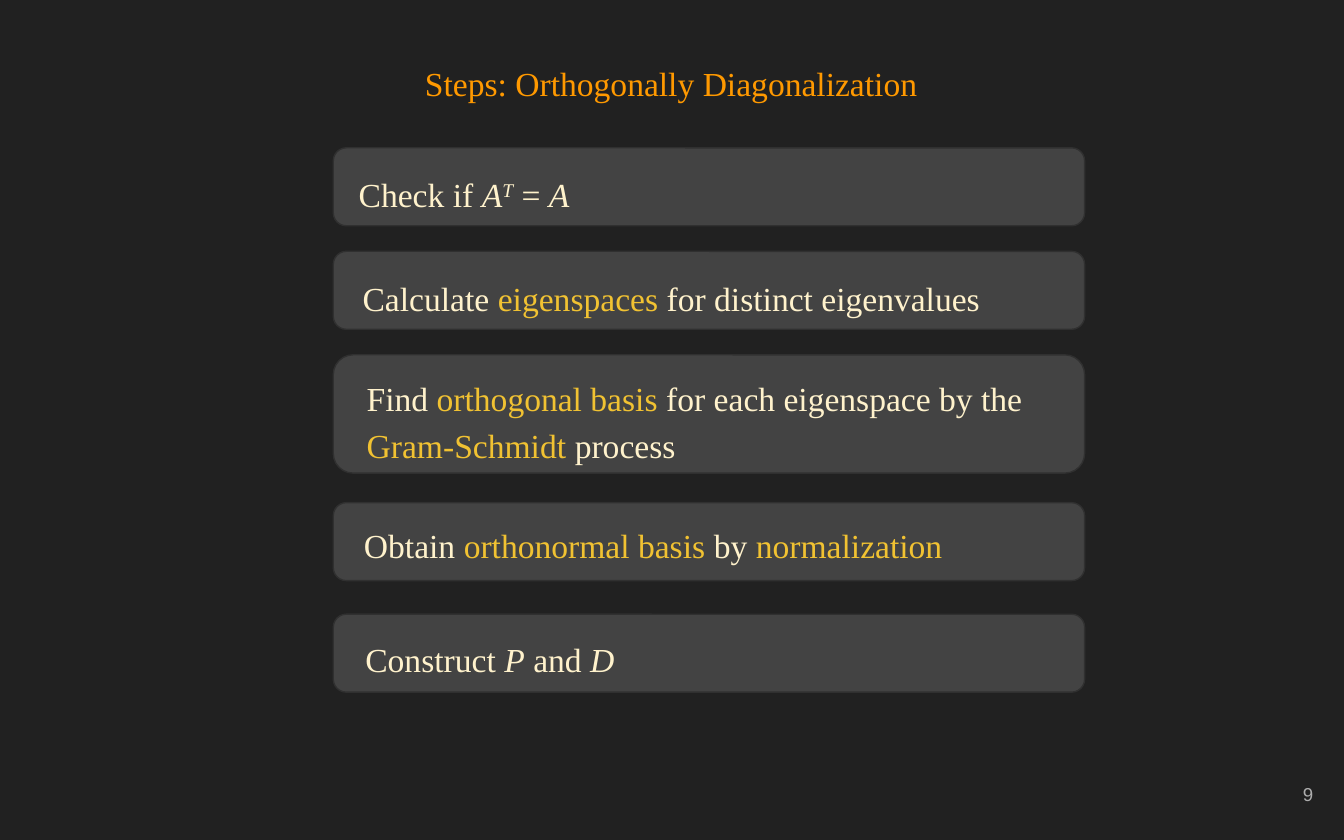
from pptx import Presentation
from pptx.dml.color import RGBColor
from pptx.enum.shapes import MSO_SHAPE
from pptx.enum.text import MSO_ANCHOR, MSO_AUTO_SIZE, PP_ALIGN
from pptx.util import Inches, Pt

SERIF = "Times New Roman"
CREAM = "FFF2CC"
GOLD = "F1C232"
CARD_LEFT, CARD_WIDTH = 2.48, 5.59

STEPS = [
    (1.1, 0.58, (2.57, 1.15, 4.02, 0.48),
     [("Check if ", {}), ("A", {"italic": True}),
      ("T", {"italic": True, "baseline": 30}), (" = ", {}), ("A", {"italic": True})]),
    (1.87, 0.58, (2.6, 1.92, 4.94, 0.48),
     [("Calculate ", {}), ("eigenspaces ", {"color": GOLD}),
      ("for distinct eigenvalues", {})]),
    (2.64, 0.88, (2.63, 2.67, 5.29, 0.85),
     [("Find ", {}), ("orthogonal basis", {"color": GOLD}),
      (" for each eigenspace by the ", {}), ("Gram-Schmidt", {"color": GOLD}),
      (" process", {})]),
    (3.74, 0.58, (2.61, 3.76, 4.94, 0.58),
     [("Obtain ", {}), ("orthonormal basis", {"color": GOLD}), (" by ", {}),
      ("normalization", {"color": GOLD})]),
    (4.57, 0.58, (2.62, 4.61, 4.94, 0.48),
     [("Construct ", {}), ("P", {"italic": True}), (" and ", {}),
      ("D", {"italic": True})]),
]


def rgb(value):
    return RGBColor.from_string(value)


def add_span(para, text, size=18, font=SERIF, color=CREAM, italic=False, baseline=0):
    span = para.add_run()
    span.text = text
    span.font.size = Pt(size)
    span.font.name = font
    span.font.color.rgb = rgb(color)
    span.font.italic = italic
    if baseline:
        span.font._element.set("baseline", str(baseline * 1000))


def prepare_frame(box, anchor=MSO_ANCHOR.TOP, align=PP_ALIGN.LEFT, spacing=1.0):
    frame = box.text_frame
    frame.word_wrap = True
    frame.auto_size = MSO_AUTO_SIZE.NONE
    frame.vertical_anchor = anchor
    frame.margin_left = frame.margin_right = Inches(0.1)
    frame.margin_top = frame.margin_bottom = Inches(0.1)
    para = frame.paragraphs[0]
    para.alignment = align
    para.line_spacing = spacing
    para.space_before = Pt(0)
    return para


def add_title(page, text):
    title = page.shapes.title
    title.left, title.top = Inches(0.48), Inches(0.33)
    title.width, title.height = Inches(9.03), Inches(0.58)
    para = prepare_frame(title, anchor=MSO_ANCHOR.MIDDLE, align=PP_ALIGN.CENTER)
    add_span(para, text, color="FF9900")


def add_step(page, top, height, text_area, spans):
    shapes = page.shapes.add_group_shape().shapes
    card = shapes.add_shape(MSO_SHAPE.ROUNDED_RECTANGLE, Inches(CARD_LEFT),
                            Inches(top), Inches(CARD_WIDTH), Inches(height))
    card.shadow.inherit = False
    card.fill.solid()
    card.fill.fore_color.rgb = rgb("434343")
    card.line.color.rgb = rgb("303030")
    card.line.width = Pt(0.75)
    box = shapes.add_textbox(*map(Inches, text_area))
    para = prepare_frame(box, spacing=1.15)
    for text, style in spans:
        add_span(para, text, **style)


def add_page_number(page, number):
    box = page.shapes.add_textbox(Inches(9.27), Inches(5.67), Inches(0.6), Inches(0.48))
    para = prepare_frame(box, anchor=MSO_ANCHOR.MIDDLE, align=PP_ALIGN.RIGHT)
    add_span(para, number, size=10, font="Arial", color="ADADAD")


def main():
    deck = Presentation()
    deck.slide_width, deck.slide_height = Inches(10), Inches(6.25)
    page = deck.slides.add_slide(deck.slide_layouts[5])
    page.background.fill.solid()
    page.background.fill.fore_color.rgb = rgb("212121")
    add_title(page, "Steps: Orthogonally Diagonalization")
    for step in STEPS:
        add_step(page, *step)
    add_page_number(page, "9")
    deck.save("out.pptx")


if __name__ == "__main__":
    main()
